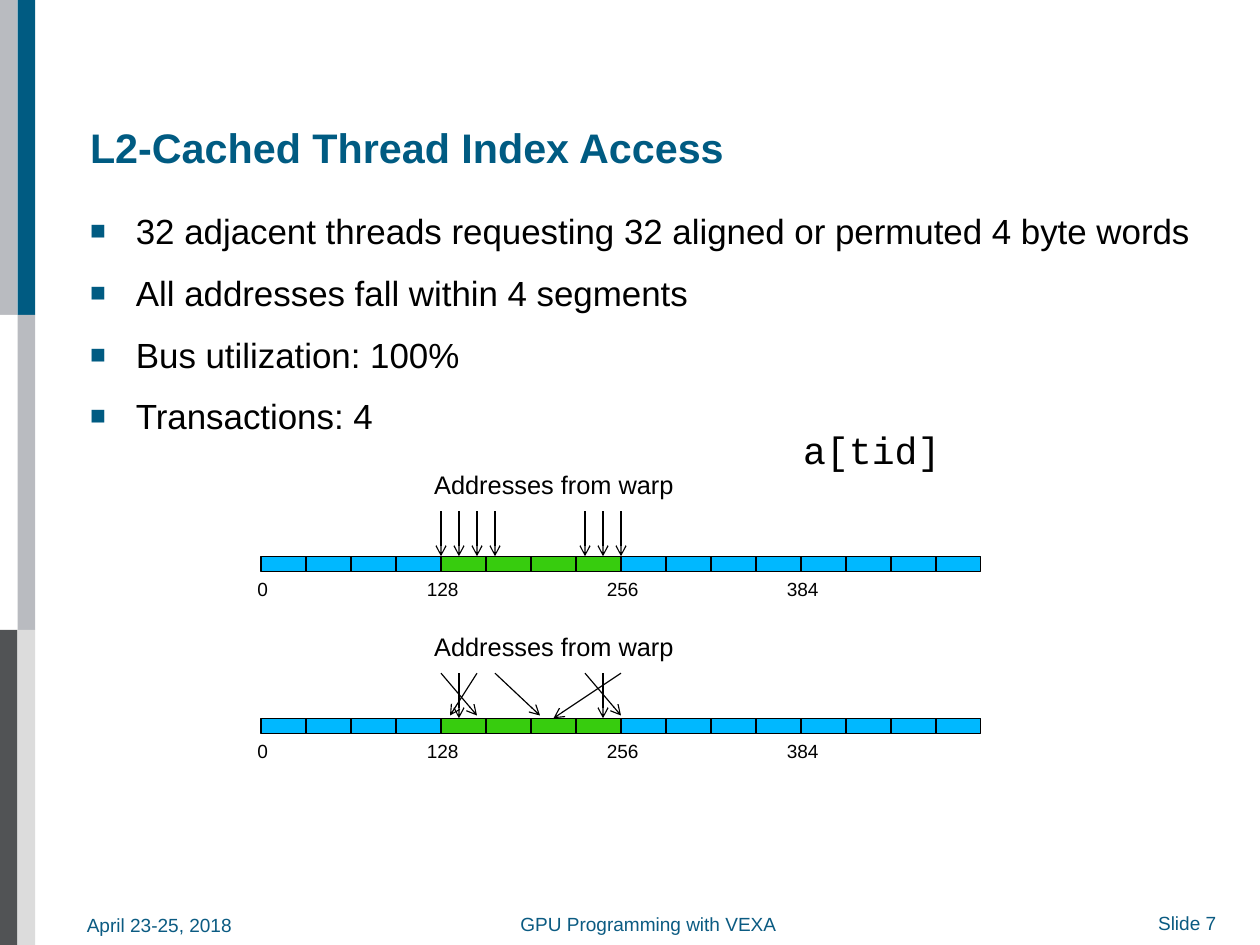
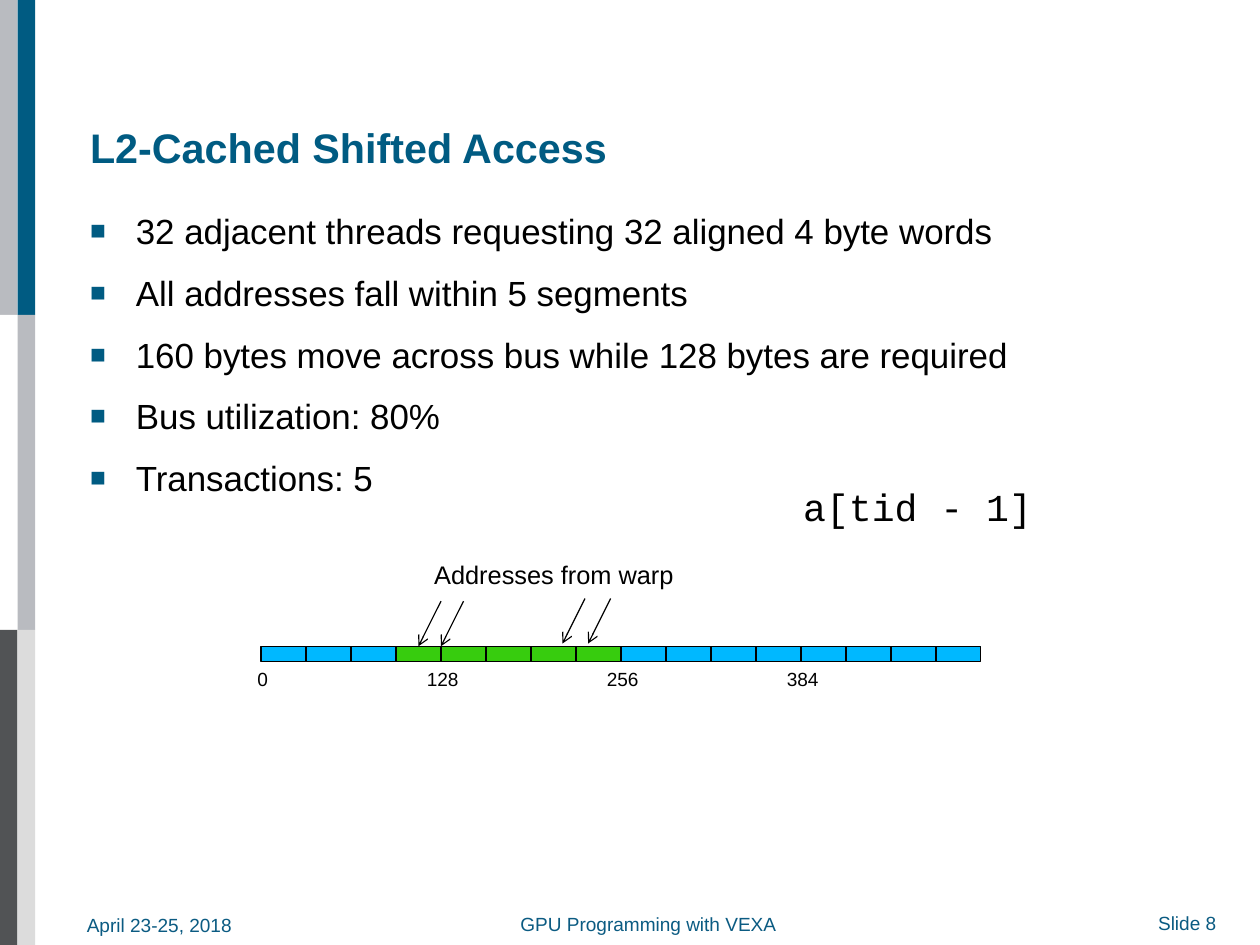
from lxml import etree
from pptx import Presentation
from pptx.dml.color import RGBColor
from pptx.enum.shapes import MSO_CONNECTOR, MSO_SHAPE
from pptx.enum.text import MSO_ANCHOR, MSO_AUTO_SIZE, PP_ALIGN
from pptx.oxml.ns import qn
from pptx.util import Cm, Pt

RECTANGLE = MSO_SHAPE.RECTANGLE
STRAIGHT = MSO_CONNECTOR.STRAIGHT
LEFT, CENTER, RIGHT = PP_ALIGN.LEFT, PP_ALIGN.CENTER, PP_ALIGN.RIGHT
TOP, MIDDLE = MSO_ANCHOR.TOP, MSO_ANCHOR.MIDDLE
NO_AUTOFIT = MSO_AUTO_SIZE.NONE

BLACK = RGBColor(0x00, 0x00, 0x00)
WHITE = RGBColor(0xFF, 0xFF, 0xFF)
PETROL = RGBColor(0x00, 0x5B, 0x82)
FOOTER_BLUE = RGBColor(0x0B, 0x5B, 0x82)
MID_GRAY = RGBColor(0xB9, 0xBB, 0xC0)
DARK_GRAY = RGBColor(0x51, 0x53, 0x55)
PALE_GRAY = RGBColor(0xDC, 0xDC, 0xDC)
MEMORY_BLUE = RGBColor(0x00, 0xB8, 0xFF)
ACCESS_GREEN = RGBColor(0x37, 0xCC, 0x0E)

# Lengths in centimetres
SLIDE_WIDTH, SLIDE_HEIGHT = 28, 21
BAND_WIDTH, BAND_HEIGHT = 0.39, 7
BAND_ROWS = [(MID_GRAY, PETROL), (WHITE, MID_GRAY), (DARK_GRAY, PALE_GRAY)]
MEMORY_LEFT, CELL_WIDTH, CELL_HEIGHT, CELL_COUNT = 5.8, 1, 0.34, 16
CELLS_PER_LABEL, BYTES_PER_CELL = 4, 32


def write(text_frame, lines, size=12, color=BLACK, font="Arial", bold=False,
          align=LEFT, anchor=TOP, insets=(0.25, 0.13, 0.25, 0.13),
          line_spacing=0.93, space_after=0, bullet=False):
    """Fill a text frame with one paragraph for each line."""
    text_frame.word_wrap = True
    text_frame.auto_size = NO_AUTOFIT
    text_frame.vertical_anchor = anchor
    (text_frame.margin_left, text_frame.margin_top,
     text_frame.margin_right, text_frame.margin_bottom) = map(Cm, insets)
    text_frame.text = lines
    for paragraph in text_frame.paragraphs:
        paragraph.alignment = align
        paragraph.line_spacing = line_spacing
        paragraph.space_before = Pt(0)
        paragraph.space_after = Pt(space_after)
        if bullet:
            add_bullet(paragraph)
        paragraph.font.size = Pt(size)
        paragraph.font.name = font
        paragraph.font.bold = bold
        paragraph.font.color.rgb = color


def add_bullet(paragraph, indent=1.02):
    properties = paragraph._p.get_or_add_pPr()
    properties.set("marL", str(Cm(indent)))
    properties.set("indent", str(-Cm(indent)))
    color = etree.SubElement(properties, qn("a:buClr"))
    etree.SubElement(color, qn("a:srgbClr"), val=str(PETROL))
    etree.SubElement(properties, qn("a:buSzPct"), val="75000")
    etree.SubElement(properties, qn("a:buFont"), typeface="Arial")
    etree.SubElement(properties, qn("a:buChar"), char="■")


def place(shape, left, top, width, height):
    shape.left, shape.top = Cm(left), Cm(top)
    shape.width, shape.height = Cm(width), Cm(height)


class Deck:
    """Holds the shared style and the current slide."""

    def __init__(self):
        self.presentation = Presentation()
        self.presentation.slide_width = Cm(SLIDE_WIDTH)
        self.presentation.slide_height = Cm(SLIDE_HEIGHT)
        self.slide = None

    def start_slide(self, title, bullets, number):
        layout = self.presentation.slide_layouts[1]
        self.slide = self.presentation.slides.add_slide(layout)
        # Side bands
        for row, colors in enumerate(BAND_ROWS):
            for column, color in enumerate(colors):
                self.rectangle(column * BAND_WIDTH, row * BAND_HEIGHT,
                               BAND_WIDTH, BAND_HEIGHT, color)
        # Title and list
        heading = self.slide.shapes.title
        place(heading, 2, 1.78, 25.2, 3)
        write(heading.text_frame, title, size=26, color=PETROL, bold=True,
              anchor=MIDDLE, insets=(0, 0.08, 0, 0))
        body = self.slide.placeholders[1]
        place(body, 2, 4.68, 25.2, 5.8)
        write(body.text_frame, "\n".join(bullets), size=22,
              insets=(0, 0.05, 0, 0), line_spacing=Pt(24.6),
              space_after=14.2, bullet=True)
        # Footer
        footer = {"color": FOOTER_BLUE, "anchor": MIDDLE,
                  "insets": (0, 0, 0, 0), "line_spacing": 1}
        self.text("April 23-25, 2018", 1.93, 20.32, 6.5, 0.48, **footer)
        self.text("GPU Programming with VEXA", 9.98, 20.24, 8.86, 0.58,
                  align=CENTER, **footer)
        self.text(f"Slide {number}", 20.5, 20.24, 6.53, 0.56,
                  align=RIGHT, **footer)

    def text(self, text, left, top, width, height, **text_format):
        box = self.slide.shapes.add_textbox(Cm(left), Cm(top),
                                            Cm(width), Cm(height))
        write(box.text_frame, text, **text_format)

    def code(self, text, top):
        self.text(text, 17.6, top, 6, 1.22, size=24, font="Courier New")

    def rectangle(self, left, top, width, height, fill, outlined=False):
        shape = self.slide.shapes.add_shape(RECTANGLE, Cm(left), Cm(top),
                                            Cm(width), Cm(height))
        shape.shadow.inherit = False
        shape.fill.solid()
        shape.fill.fore_color.rgb = fill
        if outlined:
            shape.line.color.rgb = BLACK
            shape.line.width = Pt(0.75)
        else:
            shape.line.fill.background()

    def arrow(self, start_x, start_y, end_x, end_y):
        connector = self.slide.shapes.add_connector(
            STRAIGHT, Cm(start_x), Cm(start_y), Cm(end_x), Cm(end_y))
        connector.line.color.rgb = BLACK
        connector.line.width = Pt(0.75)
        etree.SubElement(connector.line._get_or_add_ln(), qn("a:tailEnd"),
                         type="arrow")
        etree.SubElement(connector._element.spPr, qn("a:effectLst"))

    def memory(self, top, accessed, arrows):
        """Draw a row of cells; arrows are (start x, rise, end x, rise)."""
        for cell in range(CELL_COUNT):
            fill = ACCESS_GREEN if cell in accessed else MEMORY_BLUE
            self.rectangle(MEMORY_LEFT + cell * CELL_WIDTH, top,
                           CELL_WIDTH, CELL_HEIGHT, fill, outlined=True)
        for cell in range(0, CELL_COUNT, CELLS_PER_LABEL):
            center = MEMORY_LEFT + cell * CELL_WIDTH + 0.04
            self.text(str(cell * BYTES_PER_CELL), center - 1, top + 0.39,
                      2, 0.74, align=CENTER)
        self.text("Addresses from warp", 9.4, top - 2, 6.8, 0.9, size=16)
        for start_x, start_rise, end_x, end_rise in arrows:
            self.arrow(start_x, top - start_rise, end_x, top - end_rise)


def main():
    deck = Deck()

    # Aligned and permuted access
    deck.start_slide("L2-Cached Thread Index Access", [
        "32 adjacent threads requesting 32 aligned or permuted 4 byte words",
        "All addresses fall within 4 segments",
        "Bus utilization: 100%",
        "Transactions: 4",
    ], 7)
    deck.code("a[tid]", 9.43)
    aligned = [(x, 1, x, 0) for x in (9.8, 10.2, 10.6, 11, 13, 13.4, 13.8)]
    permuted = [
        (9.8, 1, 10.6, 0.06), (10.2, 1, 10.2, 0), (10.6, 1, 10, 0.06),
        (11, 1, 12, 0.06), (13, 1, 13.8, 0.06), (13.4, 1, 13.4, 0),
        (13.8, 1, 12.3, 0),
    ]
    deck.memory(12.36, range(4, 8), aligned)
    deck.memory(15.96, range(4, 8), permuted)

    # Shifted access
    deck.start_slide("L2-Cached Shifted Access", [
        "32 adjacent threads requesting 32 aligned 4 byte words",
        "All addresses fall within 5 segments",
        "160 bytes move across bus while 128 bytes are required",
        "Bus utilization: 80%",
        "Transactions: 5",
    ], 8)
    deck.code("a[tid - 1]", 10.7)
    shifted = [(x, 1 + lift, x - 0.5, lift)
               for x, lift in ((9.8, 0), (10.3, 0), (13, 0.06), (13.57, 0.06))]
    deck.memory(14.36, range(3, 8), shifted)

    deck.presentation.save("out.pptx")


if __name__ == "__main__":
    main()
